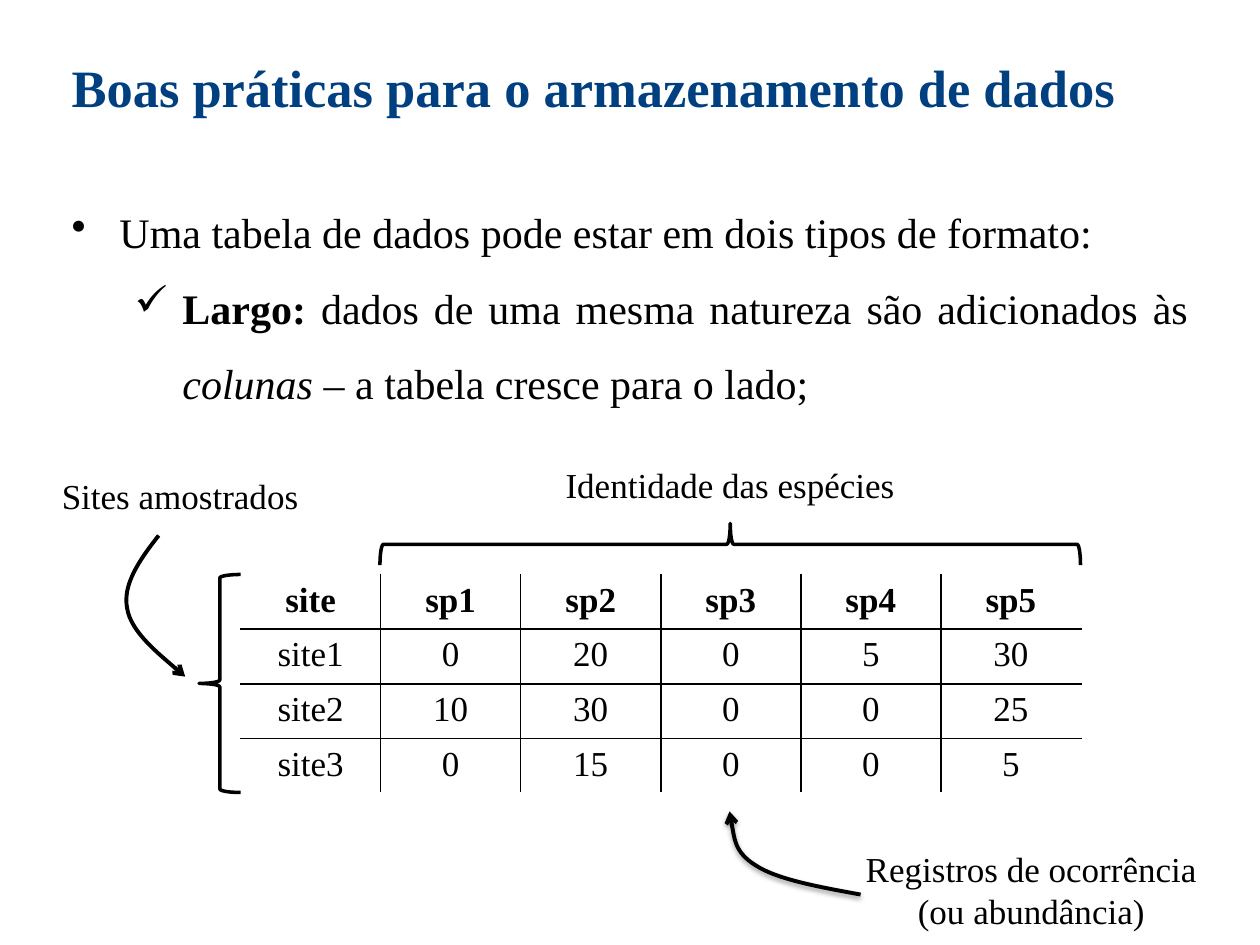
from itertools import product

from lxml.etree import SubElement
from pptx import Presentation
from pptx.dml.color import RGBColor
from pptx.enum.shapes import MSO_SHAPE
from pptx.enum.text import MSO_AUTO_SIZE as FIT, PP_ALIGN as ALIGN
from pptx.oxml.ns import qn
from pptx.util import Pt

PX = 9144
BLACK = RGBColor(0, 0, 0)
WHITE = RGBColor(255, 255, 255)
NAVY = RGBColor(0, 64, 128)


def add(parent, tag, **attrs):
    return SubElement(parent, qn(f"a:{tag}"), attrs)


class Deck:
    font = "Times New Roman"

    def __init__(self, width, height):
        self.prs = Presentation()
        self.prs.slide_width = width * PX
        self.prs.slide_height = height * PX
        self.s = self.prs.slides.add_slide(self.prs.slide_layouts[6])

    def style(self, r, size, color=BLACK, bold=False, italic=False):
        f = r.font
        f.name, f.size, f.bold, f.italic = self.font, Pt(size), bold, italic
        f.color.rgb = color

    def box(self, x, y, w, h, wrap=True):
        sp = self.s.shapes.add_textbox(x * PX, y * PX, w * PX, h * PX)
        tf = sp.text_frame
        tf.word_wrap = wrap
        tf.auto_size = FIT.SHAPE_TO_FIT_TEXT
        return tf

    def label(self, text, x, y, w, h, wrap=False):
        p = self.box(x, y, w, h, wrap).paragraphs[0]
        p.text = text
        p.alignment = ALIGN.CENTER
        self.style(p.runs[0], 20)

    def title(self, text, x, y, w, h):
        p = self.box(x, y, w, h).paragraphs[0]
        p.text = text
        p.alignment, p.line_spacing = ALIGN.JUSTIFY, 1.5
        self.style(p.runs[0], 30, NAVY, bold=True)

    def bullets(self, items, x, y, w, h):
        tf = self.box(x, y, w, h)
        for i, (mark, level, indent, runs) in enumerate(items):
            p = tf.add_paragraph() if i else tf.paragraphs[0]
            p.level = level
            p.alignment, p.line_spacing = ALIGN.JUSTIFY, 1.5
            pPr = p._p.get_or_add_pPr()
            pPr.set("marL", str(indent * PX))
            pPr.set("indent", str(-38 * PX))
            add(pPr, "buChar", char=mark)
            for text, look in runs:
                r = p.add_run()
                r.text = text
                self.style(r, 24, **look)

    def border(self, cell, side, color):
        ln = add(cell._tc.get_or_add_tcPr(), f"ln{side}", w=str(Pt(1)))
        add(add(ln, "solidFill"), "srgbClr", val=str(color))

    def table(self, rows, x, y, w, h):
        n, m = len(rows), len(rows[0])
        tbl = self.s.shapes.add_table(n, m, x * PX, y * PX, w * PX, h * PX).table
        tbl.first_row = tbl.horz_banding = False
        for i, j in product(range(n), range(m)):
            cell = tbl.cell(i, j)
            cell.text = str(rows[i][j])
            p = cell.text_frame.paragraphs[0]
            p.alignment = ALIGN.CENTER
            self.style(p.runs[0], 20, bold=i == 0)
            edges = {"L": j == 0, "R": j == m - 1, "T": i == 0, "B": i == n - 1}
            for side, outer in edges.items():
                self.border(cell, side, WHITE if outer else BLACK)
            cell.fill.background()

    def outline(self, sp, width):
        sp.shadow.inherit = False
        sp.fill.background()
        sp.line.color.rgb = BLACK
        sp.line.width = Pt(width)

    def brace(self, x, y, w, h, rotation=0):
        sp = self.s.shapes.add_shape(MSO_SHAPE.LEFT_BRACE, x * PX, y * PX, w * PX, h * PX)
        sp.rotation = rotation
        self.outline(sp, 2)

    def curved_arrow(self, start, points, shadow=False):
        fb = self.s.shapes.build_freeform(*start, scale=PX)
        fb.add_line_segments(points, close=False)
        sp = fb.convert_to_shape()
        self.outline(sp, 2.25)
        spPr = sp._element.spPr
        path = spPr.find(".//" + qn("a:path"))
        lines = path.findall(qn("a:lnTo"))
        for k in range(0, len(lines), 3):
            curve = add(path, "cubicBezTo")
            for line in lines[k:k + 3]:
                curve.append(line[0])
                path.remove(line)
        add(sp.line._get_or_add_ln(), "tailEnd", type="arrow")
        if shadow:
            shade = add(spPr.find(qn("a:effectLst")), "outerShdw", blurRad=str(Pt(3.1)),
                        dist=str(Pt(1.6)), dir="5400000", rotWithShape="0")
            add(add(shade, "srgbClr", val=str(BLACK)), "alpha", val="38000")


def main():
    deck = Deck(1000, 750)
    deck.bullets([
        ("•", 0, 38, [("Uma tabela de dados pode estar em dois tipos de formato:", {})]),
        ("✓", 1, 88, [
            ("Largo: ", {"bold": True}),
            ("dados de uma mesma natureza são adicionados às ", {}),
            ("colunas ", {"italic": True}),
            ("– a tabela cresce para o lado;", {}),
        ]),
    ], 47, 139, 906, 188)
    deck.title("Boas práticas para o armazenamento de dados", 47, 14, 906, 82)
    deck.table([
        ["site", "sp1", "sp2", "sp3", "sp4", "sp5"],
        ["site1", 0, 20, 0, 5, 30],
        ["site2", 10, 30, 0, 0, 25],
        ["site3", 0, 15, 0, 0, 5],
    ], 191, 456, 667, 173)
    deck.brace(563, 154, 33, 556, rotation=90)
    deck.label("Identidade das espécies", 438, 363, 283, 44)
    deck.label("Registros de ocorrência (ou abundância)", 660, 668, 317, 77, wrap=True)
    deck.label("Sites amostrados", 38, 372, 210, 44)
    deck.brace(158, 456, 33, 173)
    deck.curved_arrow((126, 425), [(111, 444), (97, 464), (101, 483),
                                   (104, 502), (147, 537), (147, 537)])
    deck.curved_arrow((683, 710), [(650, 704), (617, 698), (600, 687),
                                   (582, 676), (579, 644), (579, 644)], shadow=True)
    deck.prs.save("out.pptx")


if __name__ == "__main__":
    main()
